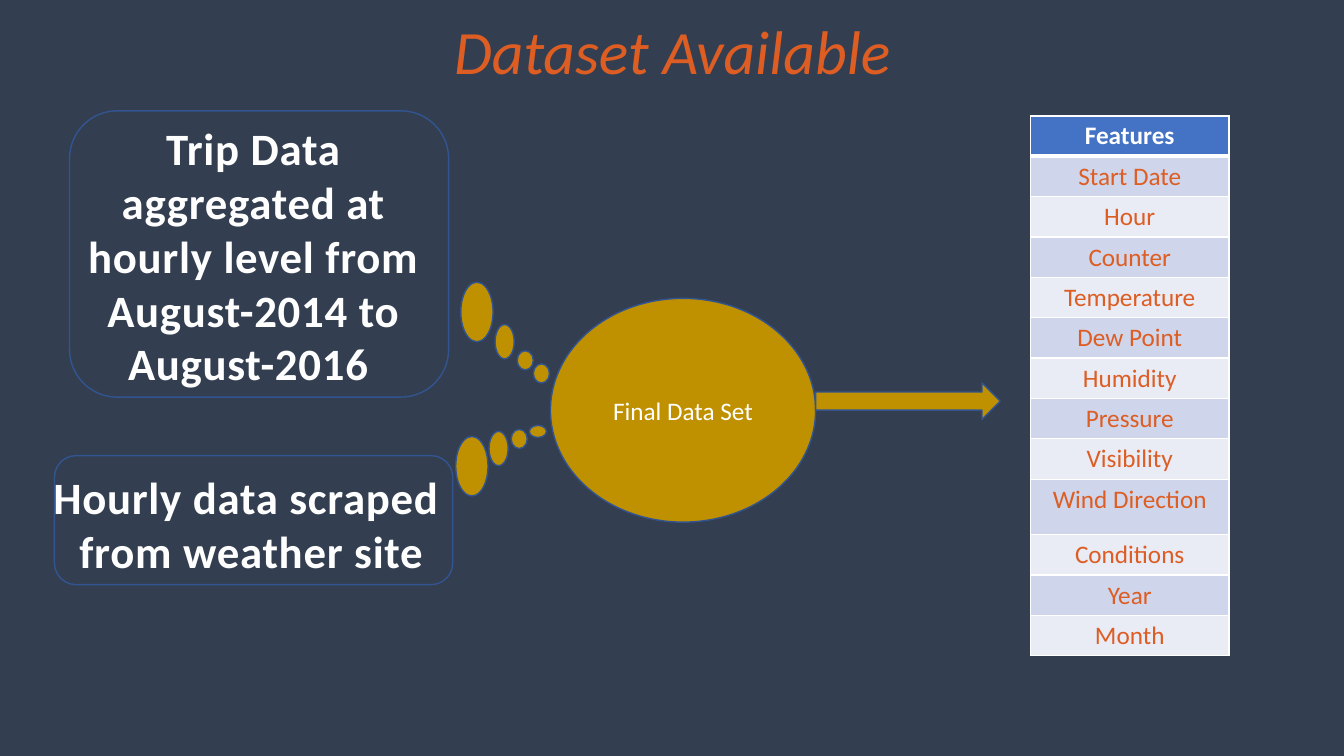
import pptx
import pptx.util
import pptx.dml.color
import pptx.enum.shapes
import pptx.enum.text
import pptx.oxml
import pptx.oxml.ns

Inches, Pt = pptx.util.Inches, pptx.util.Pt
SHAPE = pptx.enum.shapes.MSO_SHAPE
ANCHOR = pptx.enum.text.MSO_ANCHOR
CENTER = pptx.enum.text.PP_ALIGN.CENTER
FONT = "Calibri"
COLORS = {
    "background": "333F50", "orange": "DD5D23", "gold": "BF9000",
    "outline": "325491", "blue": "4472C4", "white": "FFFFFF",
    "source": "FEFEFE", "odd": "CFD5EA", "even": "E9EBF5",
}

TITLE = "Dataset Available"
SOURCES = [
    (["Trip Data aggregated at hourly level from August-2014 to August-2016 "],
     (0.59, 1.15, 3.85, 2.79), True, (0.69, 1.1, 3.76, 2.84)),
    (["Hourly data scraped", " from weather site"],
     (0.34, 4.61, 4.2, 1.18), False, (0.54, 4.52, 3.95, 1.28)),
]
FINAL = "Final Data Set"
FINAL_PLACE = (5.46, 2.96, 2.63, 2.22)
ARROW_PLACE = (8.09, 3.8, 1.83, 0.36)
BUBBLE_SIZES = {"large": (0.32, 0.59), "medium": (0.19, 0.34),
                "small": (0.16, 0.19), "flat": (0.17, 0.12)}
BUBBLES = [
    (4.57, 2.8, "large"), (4.91, 3.22, "medium"),
    (5.13, 3.48, "small"), (5.29, 3.61, "small"),
    (4.52, 4.33, "large"), (4.85, 4.28, "medium"),
    (5.07, 4.26, "small"), (5.25, 4.22, "flat"),
]
FEATURES = ["Features", "Start Date", "Hour", "Counter", "Temperature",
            "Dew Point", "Humidity", "Pressure", "Visibility",
            "Wind Direction", "Conditions", "Year", "Month"]
TABLE_LEFT, TABLE_TOP, TABLE_WIDTH = 10.22, 1.15, 1.97
ROW_HEIGHT, TALL_ROWS = 0.4, {"Wind Direction": 0.55}


def rgb(name):
    return pptx.dml.color.RGBColor.from_string(COLORS[name])


def inches(place):
    return [Inches(length) for length in place]


def write(paragraph, words, size, color, bold=False, italic=False):
    paragraph.alignment = CENTER
    run = paragraph.add_run()
    run.text = words
    run.font.size = Pt(size)
    run.font.name = FONT
    run.font.bold = bold
    run.font.italic = italic
    run.font.color.rgb = rgb(color)
    return run


def element(xml):
    return pptx.oxml.parse_xml(xml.replace(">", f" {pptx.oxml.ns.nsdecls('a')}>", 1))


def solid(color):
    return f'<a:solidFill><a:srgbClr val="{COLORS[color]}"/></a:solidFill>'


def add_glow_text(run):
    properties = run.font._element
    properties.set("spc", "50")
    properties.insert(0, element(f'<a:ln w="9525">{solid("blue")}</a:ln>'))
    shadow = element(
        '<a:effectLst><a:outerShdw blurRad="38100" dist="22860" dir="5400000">'
        f'<a:srgbClr val="{COLORS["blue"]}"/></a:outerShdw></a:effectLst>')
    properties.find(pptx.oxml.ns.qn("a:solidFill")).addnext(shadow)


def add_outlined(slide, kind, place, fill=None):
    shape = slide.shapes.add_shape(kind, *inches(place))
    shape.shadow.inherit = False
    if fill:
        shape.fill.solid()
        shape.fill.fore_color.rgb = rgb(fill)
    else:
        shape.fill.background()
    shape.line.color.rgb = rgb("outline")
    shape.line.width = Pt(1)
    return shape


def add_source(slide, lines, place, wrap):
    frame = slide.shapes.add_textbox(*inches(place)).text_frame
    frame.word_wrap = wrap
    frame.auto_size = pptx.enum.text.MSO_AUTO_SIZE.SHAPE_TO_FIT_TEXT
    for index, line in enumerate(lines):
        paragraph = frame.add_paragraph() if index else frame.paragraphs[0]
        add_glow_text(write(paragraph, line, 32, "source", bold=True))


def add_borders(cell, header, below_header):
    properties = cell._tc.get_or_add_tcPr()
    thick = "B" if header else "T" if below_header else None
    for index, side in enumerate("LRTB"):
        width = Pt(3 if side == thick else 1)
        properties.insert(index, element(
            f'<a:ln{side} w="{width}">{solid("white")}</a:ln{side}>'))


def add_features(slide):
    heights = [TALL_ROWS.get(feature, ROW_HEIGHT) for feature in FEATURES]
    place = (TABLE_LEFT, TABLE_TOP, TABLE_WIDTH, sum(heights))
    table = slide.shapes.add_table(len(FEATURES), 1, *inches(place)).table
    for index, (feature, height) in enumerate(zip(FEATURES, heights)):
        header = index == 0
        table.rows[index].height = Inches(height)
        cell = table.cell(index, 0)
        cell.fill.solid()
        cell.fill.fore_color.rgb = rgb(
            "blue" if header else "odd" if index % 2 else "even")
        write(cell.text_frame.paragraphs[0], feature, 18,
              "white" if header else "orange", bold=header)
        add_borders(cell, header, index == 1)


def main():
    deck = pptx.Presentation()
    deck.slide_width, deck.slide_height = Inches(13.33), Inches(7.5)
    slide = deck.slides.add_slide(deck.slide_layouts[5])
    slide.background.fill.solid()
    slide.background.fill.fore_color.rgb = rgb("background")

    title = slide.shapes.title
    title.left, title.top, title.width, title.height = inches((0.92, 0.12, 11.5, 0.85))
    title.text_frame.vertical_anchor = ANCHOR.MIDDLE
    title.text_frame.auto_size = pptx.enum.text.MSO_AUTO_SIZE.NONE
    heading = title.text_frame.paragraphs[0]
    heading.line_spacing = 0.9
    write(heading, TITLE, 44, "orange", italic=True)

    final = add_outlined(slide, SHAPE.OVAL, FINAL_PLACE, "gold")
    final.text_frame.vertical_anchor = ANCHOR.MIDDLE
    write(final.text_frame.paragraphs[0], FINAL, 18, "white")
    add_outlined(slide, SHAPE.RIGHT_ARROW, ARROW_PLACE, "gold")

    for lines, text_place, wrap, frame_place in SOURCES:
        add_source(slide, lines, text_place, wrap)
        add_outlined(slide, SHAPE.ROUNDED_RECTANGLE, frame_place)
    for left, top, size in BUBBLES:
        add_outlined(slide, SHAPE.OVAL, (left, top, *BUBBLE_SIZES[size]), "gold")
    add_features(slide)
    deck.save("out.pptx")


if __name__ == "__main__":
    main()
